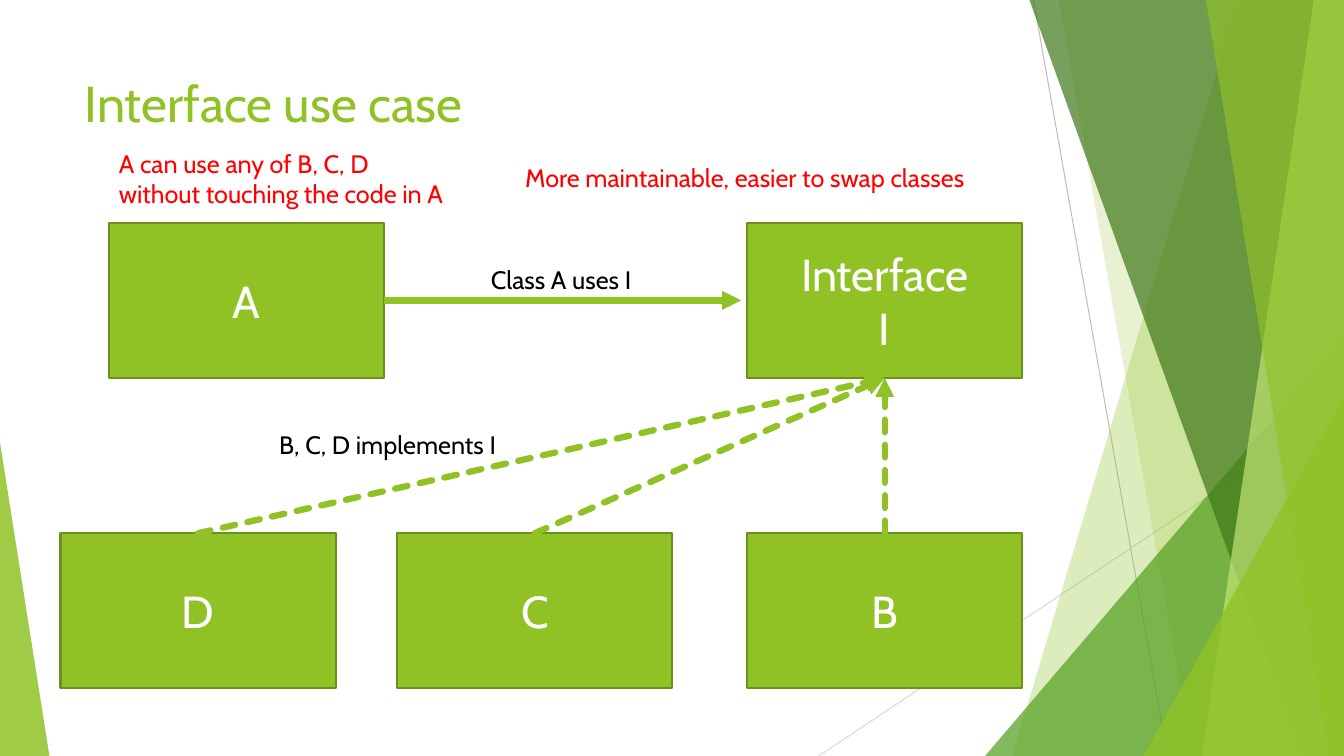
from lxml import etree
from pptx import Presentation
from pptx.dml.color import RGBColor
from pptx.enum.dml import MSO_LINE
from pptx.enum.shapes import MSO_CONNECTOR, MSO_SHAPE
from pptx.enum.text import MSO_ANCHOR, MSO_AUTO_SIZE, PP_ALIGN
from pptx.oxml.ns import qn
from pptx.util import Inches, Pt

SYSTEM_DASH = MSO_LINE.SQUARE_DOT
STRAIGHT = MSO_CONNECTOR.STRAIGHT
RECTANGLE = MSO_SHAPE.RECTANGLE
TOP, MIDDLE = MSO_ANCHOR.TOP, MSO_ANCHOR.MIDDLE
LEFT, CENTER = PP_ALIGN.LEFT, PP_ALIGN.CENTER
FIT_TEXT = MSO_AUTO_SIZE.SHAPE_TO_FIT_TEXT
NO_FIT = MSO_AUTO_SIZE.NONE
TOP_SITE, BOTTOM_SITE, RIGHT_SITE = 0, 2, 3

GREEN = RGBColor(0x90, 0xC2, 0x26)
BORDER_GREEN = RGBColor(0x6B, 0x90, 0x1C)
MID_GREEN = RGBColor(0x54, 0xA0, 0x21)
DARK_GREEN = RGBColor(0x3F, 0x78, 0x19)
LIGHT_GREEN = RGBColor(0xC0, 0xE4, 0x74)
GREY = RGBColor(0xBF, 0xBF, 0xBF)
LIGHT_GREY = RGBColor(0xD9, 0xD9, 0xD9)
WHITE = RGBColor(0xFF, 0xFF, 0xFF)
BLACK = RGBColor(0x00, 0x00, 0x00)
RED = RGBColor(0xFF, 0x00, 0x00)

FONT = "Cabin"
WIDTH, HEIGHT = 13.33, 7.5
BOX_WIDTH, BOX_HEIGHT = 2.73, 1.54
UPPER_ROW, LOWER_ROW = 2.21, 5.29

# Corner points, colour and opacity in percent, from back to front
FACETS = [
    ([(12.28, 0), (WIDTH, 0), (WIDTH, HEIGHT), (10.04, HEIGHT)], GREEN, 30),
    ([(10.5, 0), (WIDTH, 0), (WIDTH, HEIGHT), (11.83, HEIGHT)], GREEN, 20),
    ([(WIDTH, 3.33), (WIDTH, HEIGHT), (9.77, HEIGHT)], MID_GREEN, 72),
    ([(10.21, 0), (WIDTH, 0), (WIDTH, HEIGHT), (12.91, HEIGHT)], DARK_GREEN, 70),
    ([(13.03, 0), (WIDTH, 0), (WIDTH, HEIGHT), (11.92, HEIGHT)], LIGHT_GREEN, 70),
    ([(11.96, 0), (WIDTH, 0), (WIDTH, HEIGHT), (13.18, HEIGHT)], GREEN, 65),
    ([(WIDTH, 3.93), (WIDTH, HEIGHT), (11.34, HEIGHT)], GREEN, 80),
    ([(0, 4.39), (0.49, HEIGHT), (0, HEIGHT)], GREEN, 85),
]


def add_run(paragraph, text, size, color):
    run = paragraph.add_run()
    run.text = text
    run.font.name = FONT
    run.font.size = Pt(size)
    run.font.color.rgb = color


def add_line(slide, start, end, color, width):
    line = slide.shapes.add_connector(
        STRAIGHT, *(Inches(value) for value in (*start, *end)))
    line.line.color.rgb = color
    line.line.width = Pt(width)
    etree.SubElement(line._element.spPr, qn("a:effectLst"))
    return line


def add_arrow(slide, start, end, dashed=False):
    arrow = add_line(slide, start, end, GREEN, 4.5)
    outline = arrow.line._get_or_add_ln()
    if dashed:
        arrow.line.dash_style = SYSTEM_DASH
        outline.set("cap", "rnd")
    etree.SubElement(outline, qn("a:tailEnd"), type="triangle")
    return arrow


def add_facet(slide, points, color, opacity):
    """Add a see-through polygon of the background."""
    corners = [(Inches(x), Inches(y)) for x, y in points]
    builder = slide.shapes.build_freeform(*corners[0])
    builder.add_line_segments(corners[1:], close=True)
    facet = builder.convert_to_shape()
    facet.shadow.inherit = False
    facet.fill.solid()
    facet.fill.fore_color.rgb = color
    facet.line.fill.background()
    color_element = facet._element.spPr.find(qn("a:solidFill"))[0]
    etree.SubElement(color_element, qn("a:alpha"), val=str(opacity * 1000))


def add_title(slide, text):
    title = slide.shapes.title
    title.left, title.top = Inches(0.74), Inches(0.67)
    title.width, title.height = Inches(9.4), Inches(1.44)
    frame = title.text_frame
    frame.vertical_anchor = TOP
    frame.auto_size = NO_FIT
    frame.paragraphs[0].alignment = LEFT
    add_run(frame.paragraphs[0], text, 36, GREEN)


def add_class_box(slide, left, top, *lines):
    box = slide.shapes.add_shape(RECTANGLE, Inches(left), Inches(top),
                                 Inches(BOX_WIDTH), Inches(BOX_HEIGHT))
    box.shadow.inherit = False
    box.fill.solid()
    box.fill.fore_color.rgb = GREEN
    box.line.color.rgb = BORDER_GREEN
    box.line.width = Pt(1.5)
    frame = box.text_frame
    frame.vertical_anchor = MIDDLE
    for index, line in enumerate(lines):
        paragraph = frame.add_paragraph() if index else frame.paragraphs[0]
        paragraph.alignment = CENTER
        add_run(paragraph, line, 32, WHITE)
    return box


def add_label(slide, left, top, width, height, color, *lines):
    label = slide.shapes.add_textbox(Inches(left), Inches(top),
                                     Inches(width), Inches(height))
    frame = label.text_frame
    frame.word_wrap = False
    frame.auto_size = FIT_TEXT
    paragraph = frame.paragraphs[0]
    for index, line in enumerate(lines):
        if index:
            paragraph.add_line_break()
        add_run(paragraph, line, 18, color)


def add_background(slide):
    add_line(slide, (10.25, 0), (11.58, HEIGHT), GREY, 0.75)
    add_line(slide, (WIDTH, 4.03), (8.12, HEIGHT), LIGHT_GREY, 0.75)
    for points, color, opacity in FACETS:
        add_facet(slide, points, color, opacity)


def add_diagram(slide):
    user_left, interface_left = 1.08, 7.41
    user = add_class_box(slide, user_left, UPPER_ROW, "A")
    interface = add_class_box(slide, interface_left, UPPER_ROW, "Interface", "I")
    middle = UPPER_ROW + BOX_HEIGHT / 2
    uses = add_arrow(slide, (user_left + BOX_WIDTH, middle), (7.35, middle))
    uses.begin_connect(user, RIGHT_SITE)

    target = (interface_left + BOX_WIDTH / 2, UPPER_ROW + BOX_HEIGHT)
    for name, left in (("B", interface_left), ("C", 3.94), ("D", 0.6)):
        box = add_class_box(slide, left, LOWER_ROW, name)
        start = (left + BOX_WIDTH / 2, LOWER_ROW)
        implements = add_arrow(slide, start, target, dashed=True)
        implements.begin_connect(box, TOP_SITE)
        implements.end_connect(interface, BOTTOM_SITE)


def main():
    presentation = Presentation()
    presentation.slide_width = Inches(WIDTH)
    presentation.slide_height = Inches(HEIGHT)
    title_only = presentation.slide_layouts[5]
    slide = presentation.slides.add_slide(title_only)
    add_background(slide)
    add_title(slide, "Interface use case")
    add_diagram(slide)
    add_label(slide, 4.77, 2.57, 1.66, 0.4, BLACK, "Class A uses I")
    add_label(slide, 2.67, 4.21, 2.53, 0.4, BLACK, "B, C, D implements I")
    add_label(slide, 1.08, 1.42, 3.68, 0.71, RED,
              "A can use any of B, C, D", "without touching the code in A")
    add_label(slide, 5.11, 1.56, 4.96, 0.4, RED,
              "More maintainable, easier to swap classes")
    presentation.save("out.pptx")


if __name__ == "__main__":
    main()
